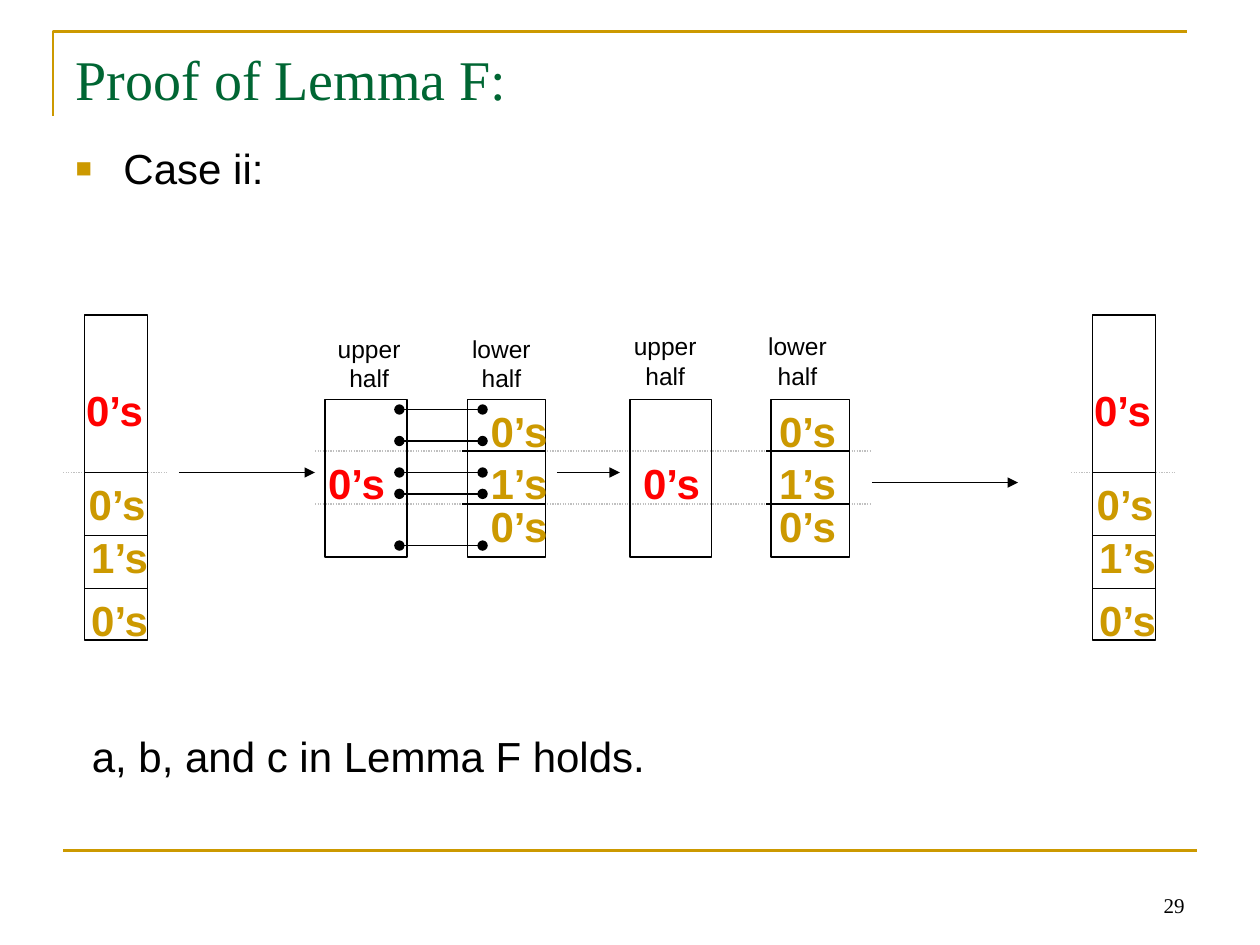
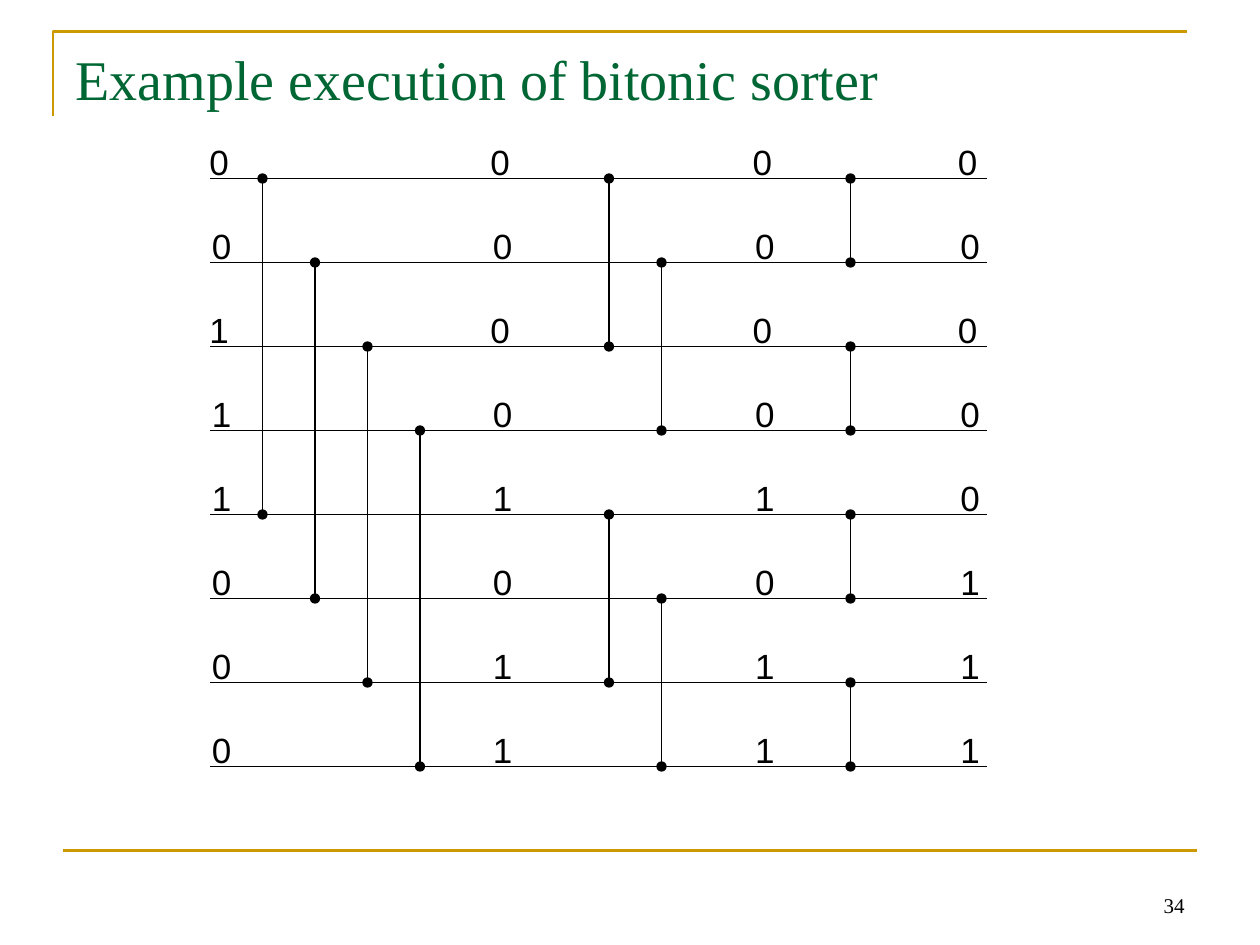
from lxml import etree
from pptx import Presentation
from pptx import util as u
from pptx.dml.color import RGBColor
from pptx.enum import dml, shapes, text
from pptx.oxml import ns

BLACK, GOLD, GREEN = "000000", "CC9900", "006633"
RED, GREY = "FF0000", "C0C0C0"
SANS, SERIF = "Arial", "Times New Roman"


def color(code):
    return RGBColor.from_string(code)


def add(parent, tag, **attrs):
    return etree.SubElement(parent, ns.qn(tag), attrs)


class Deck:
    def __init__(self):
        self.prs = Presentation()
        self.prs.slide_width = u.Inches(10)
        self.prs.slide_height = u.Inches(7.5)
        self.slide = None

    def start(self, layout, title, page):
        self.slide = self.prs.slides.add_slide(self.prs.slide_layouts[layout])
        self.holder(0, title, (0.5, 0.3, 9, 1.25), 32, SERIF, GREEN)
        self.corner()
        self.line(0.5, 6.75, 9.5, 6.75, GOLD, 1.5)
        box = self.label(page, 7.17, 6.83, 2.33, 0.5, 12, face=SERIF,
                         align=text.PP_ALIGN.RIGHT, wrap=True)
        box.text_frame.vertical_anchor = text.MSO_ANCHOR.BOTTOM

    def corner(self):
        pen = self.slide.shapes.build_freeform(u.Inches(0.42), u.Inches(0.92))
        pen.add_line_segments([(u.Inches(0.42), u.Inches(0.25)),
                               (u.Inches(9.42), u.Inches(0.25))], close=False)
        self.outline(pen.convert_to_shape(), GOLD, 1.5)

    def outline(self, shape, ink, width):
        shape.shadow.inherit = False
        shape.fill.background()
        shape.line.color.rgb = color(ink)
        shape.line.width = u.Pt(width)

    def style(self, frame, size, face, ink, bold, align):
        for par in frame.paragraphs:
            par.alignment = align
            par.space_before = u.Pt(0)
            for run in par.runs:
                font = run.font
                font.size, font.name, font.bold = u.Pt(size), face, bold
                font.color.rgb = color(ink)

    def holder(self, index, words, place, size, face, ink):
        shape = self.slide.placeholders[index]
        shape.left, shape.top, shape.width, shape.height = map(u.Inches, place)
        frame = shape.text_frame
        frame.text = words
        frame.auto_size = text.MSO_AUTO_SIZE.NONE
        frame.vertical_anchor = text.MSO_ANCHOR.TOP
        self.style(frame, size, face, ink, False, text.PP_ALIGN.LEFT)
        return frame

    def bullet(self, words):
        frame = self.holder(1, words, (0.5, 1.08, 9, 4.95), 24, SANS, BLACK)
        for par in frame.paragraphs:
            props = par._p.get_or_add_pPr()
            props.set("marL", str(u.Inches(0.38)))
            props.set("indent", str(u.Inches(-0.38)))
            add(add(props, "a:buClr"), "a:srgbClr", val=GOLD)
            add(props, "a:buSzPct", val="65000")
            add(props, "a:buFont", typeface=SANS)
            add(props, "a:buChar", char="■")

    def label(self, words, left, top, width, height, size, ink=BLACK,
              bold=False, face=SANS, align=text.PP_ALIGN.CENTER, wrap=False):
        box = self.slide.shapes.add_textbox(
            *map(u.Inches, (left, top, width, height)))
        frame = box.text_frame
        frame.text = words
        frame.word_wrap = wrap
        if not wrap:
            frame.auto_size = text.MSO_AUTO_SIZE.SHAPE_TO_FIT_TEXT
        self.style(frame, size, face, ink, bold, align)
        return box

    def mark(self, words, left, top, ink=GOLD):
        self.label(words, left, top, 0.66, 0.51, 24, ink, True)

    def rect(self, left, top, width, height):
        shape = self.slide.shapes.add_shape(
            shapes.MSO_SHAPE.RECTANGLE,
            *map(u.Inches, (left, top, width, height)))
        self.outline(shape, BLACK, 0.75)

    def line(self, x1, y1, x2, y2, ink=BLACK, width=0.75, head=None, tail=None):
        link = self.slide.shapes.add_connector(
            shapes.MSO_CONNECTOR.STRAIGHT, *map(u.Inches, (x1, y1, x2, y2)))
        link.line.color.rgb = color(ink)
        link.line.width = u.Pt(width)
        props = link._element.spPr
        edge = link.line._get_or_add_ln()
        if head:
            add(edge, "a:headEnd", type=head)
        if tail:
            add(edge, "a:tailEnd", type=tail)
        add(props, "a:effectLst")
        return link

    def dots(self, x1, x2, y):
        link = self.line(x1, y, x2, y, GREY)
        link.line.dash_style = dml.MSO_LINE.ROUND_DOT

    def arrow(self, x1, x2, y):
        self.line(x1, y, x2, y, tail="triangle")

    def gate(self, x1, y1, x2, y2):
        self.line(x1, y1, x2, y2, head="oval", tail="oval")

    def stack(self, left):
        self.rect(left, 2.5, 0.5, 2.58)
        self.dots(left - 0.17, left + 0.66, 3.75)
        for y in (3.75, 4.25, 4.67):
            self.line(left, y, left + 0.5, y)
        self.mark("0’s", left - 0.09, 3, RED)
        self.mark("0’s", left - 0.07, 3.75)
        self.mark("1’s", left - 0.05, 4.17)
        self.mark("0’s", left - 0.05, 4.67)

    def halves(self, upper, lower, red, gold, cut, mid, top):
        self.rect(upper, 3.17, 0.65, 1.25)
        self.rect(lower, 3.17, 0.62, 1.25)
        self.mark("0’s", red, 3.58, RED)
        for words, y in (("0’s", 3.17), ("1’s", 3.58), ("0’s", 3.92)):
            self.mark(words, gold, y)
        for y in (3.58, 4):
            self.line(cut, y, cut + 0.66, y)
        for words, x in (("upper\nhalf", mid), ("lower\nhalf", mid + 1.05)):
            self.label(words, x - 0.45, top, 0.9, 0.57, 14)


def proof(deck):
    deck.start(1, "Proof of Lemma F:", "29")
    deck.bullet("Case ii:")
    for y in (3.58, 4):
        deck.dots(2.5, 6.92, y)
    for left in (0.67, 8.67):
        deck.stack(left)
    deck.halves(2.58, 3.71, 2.5, 3.79, 3.67, 2.93, 2.6)
    deck.halves(5, 6.12, 5, 6.08, 6.08, 5.28, 2.58)
    for y in (3.25, 3.5, 3.75, 3.92, 4.33):
        deck.gate(3.17, y, 3.83, y)
    for x1, x2, y in ((1.42, 2.5, 3.75), (4.42, 4.92, 3.75), (6.92, 8.08, 3.83)):
        deck.arrow(x1, x2, y)
    deck.label("a, b, and c in Lemma F holds.", 0.63, 5.75, 4.59, 0.5, 24,
               align=text.PP_ALIGN.LEFT)


def sorter(deck):
    deck.start(5, "Example execution of bitonic sorter", "34")
    rows = [(17 + row * 8) / 12 for row in range(8)]
    for y in rows:
        deck.line(1.67, y, 7.83, y)
    for span, first in ((4, 25), (2, 58), (1, 81)):
        for row in range(8):
            if not row & span:
                x = (first + row % span * 5) / 12
                deck.gate(x, rows[row], x, rows[row + span])
    stages = ((1.58, "00111000"), (3.81, "00001011"),
              (5.89, "00001011"), (7.52, "00000111"))
    for left, bits in stages:
        for row, bit in enumerate(bits):
            shift = 0.02 if row in (0, 2) else 0
            deck.label(bit, left - shift, rows[row] - 0.35, 0.36, 0.43, 20)


def main():
    deck = Deck()
    proof(deck)
    sorter(deck)
    deck.prs.save("out.pptx")


if __name__ == "__main__":
    main()
